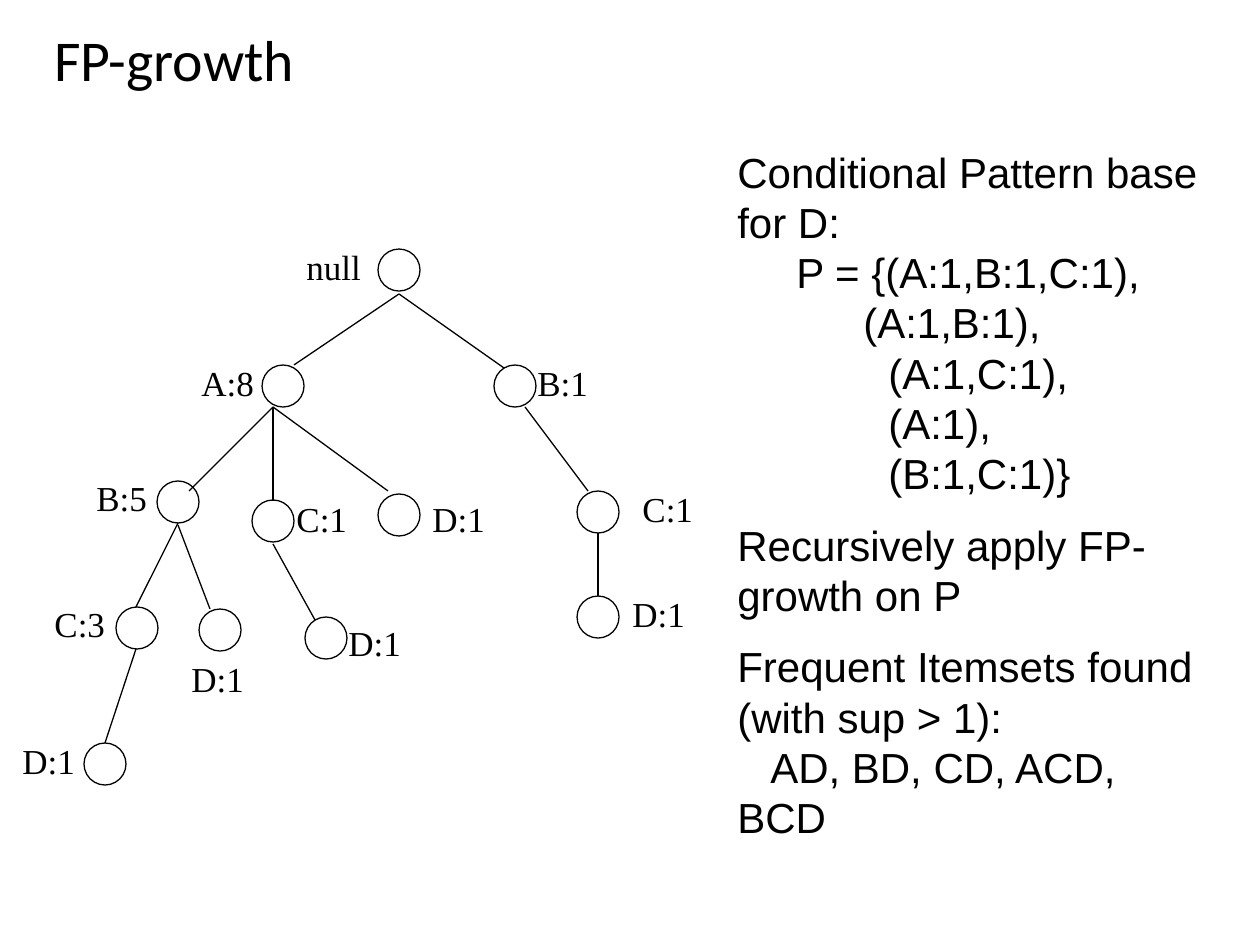
import pptx
import pptx.util
import pptx.dml.color
import pptx.enum.shapes
import pptx.enum.text
import lxml.etree

SCALE = 914400 / 126  # EMU per px
BLACK = "000000"
NODE_SIZE = 42
LABEL_WIDTH, LABEL_HEIGHT = 84, 54


def emu(*lengths):
    return [pptx.util.Emu(round(length * SCALE)) for length in lengths]


def color(hex_string):
    return pptx.dml.color.RGBColor.from_string(hex_string)


presentation = pptx.Presentation()
presentation.slide_width, presentation.slide_height = emu(1260, 945)
slide = presentation.slides.add_slide(presentation.slide_layouts[6])

# Tree nodes: text, circle left and top, label left and top
nodes = [
    ("null", 378, 249, 294, 239),
    ("A:8", 262, 365, 189, 355),
    ("B:1", 494, 365, 525, 355),
    ("B:5", 157, 481, 84, 470),
    ("C:1", 252, 500, 284, 491),
    ("D:1", 378, 494, 420, 491),
    ("C:1", 577, 491, 630, 481),
    ("C:3", 116, 607, 42, 596),
    ("D:1", 199, 609, 179, 651),
    ("D:1", 305, 617, 336, 615),
    ("D:1", 577, 596, 620, 586),
    ("D:1", 84, 743, 10, 733),
]
for text, left, top, label_left, label_top in nodes:
    circle = slide.shapes.add_shape(
        pptx.enum.shapes.MSO_SHAPE.OVAL, *emu(left, top, NODE_SIZE, NODE_SIZE))
    circle.shadow.inherit = False
    circle.fill.background()
    circle.line.color.rgb = color(BLACK)
    circle.line.width = pptx.util.Pt(0.75)

# Tree edges: parent end, child end
edges = [
    (399, 294, 294, 365),
    (399, 294, 504, 368),
    (273, 407, 189, 491),
    (273, 407, 273, 501),
    (273, 407, 388, 491),
    (525, 407, 588, 491),
    (178, 523, 136, 607),
    (178, 525, 210, 609),
    (273, 544, 315, 620),
    (598, 533, 598, 596),
    (136, 649, 105, 743),
]
for ends in edges:
    edge = slide.shapes.add_connector(
        pptx.enum.shapes.MSO_CONNECTOR.STRAIGHT, *emu(*ends))
    edge.line.color.rgb = color(BLACK)
    edge.line.width = pptx.util.Pt(0.75)
    lxml.etree.SubElement(
        edge._element.spPr, pptx.oxml.ns.qn("a:effectLst"))

# Text boxes: place, font, size, paragraphs of (text, margin, first indent, gap before)
pattern_base = [
    ("Conditional Pattern base for D:", 0, 0, 0),
    ("P = {(A:1,B:1,C:1),", 59, 0, 0),
    ("(A:1,B:1),", 126, 0, 0),
    ("(A:1,C:1),", 151, 0, 0),
    ("(A:1),", 151, 0, 0),
    ("(B:1,C:1)}", 151, 0, 0),
    ("Recursively apply FP-growth on P", 0, 0, 12),
    ("Frequent Itemsets found (with sup > 1):", 0, 0, 12),
    ("AD, BD, CD, ACD, BCD", 0, 33, 0),
]
boxes = [
    ((42, 0, 1134, 126), "Calibri", 33, 0.9, [("FP-growth", 0, 0, 0)]),
    ((725, 140, 494, 720), "Arial", 24, pptx.util.Pt(28.75), pattern_base),
]
for text, left, top, label_left, label_top in nodes:
    place = (label_left, label_top, LABEL_WIDTH, LABEL_HEIGHT)
    boxes.append((place, "Times New Roman", 20, 1.0, [(text, 0, 0, 0)]))

for place, font_name, size, line_spacing, lines in boxes:
    text_frame = slide.shapes.add_textbox(*emu(*place)).text_frame
    text_frame.word_wrap = True
    if font_name == "Calibri":
        text_frame.vertical_anchor = pptx.enum.text.MSO_ANCHOR.MIDDLE
    text_frame.text = "\n".join(line[0] for line in lines)
    for paragraph, (text, margin, indent, gap) in zip(text_frame.paragraphs, lines):
        margin, indent = emu(margin, indent)
        properties = paragraph._p.get_or_add_pPr()
        properties.set("marL", str(margin))
        properties.set("indent", str(indent))
        paragraph.line_spacing = line_spacing
        paragraph.space_before = pptx.util.Pt(gap)
        font = paragraph.runs[0].font
        font.name = font_name
        font.size = pptx.util.Pt(size)
        font.color.rgb = color(BLACK)

presentation.save("out.pptx")
